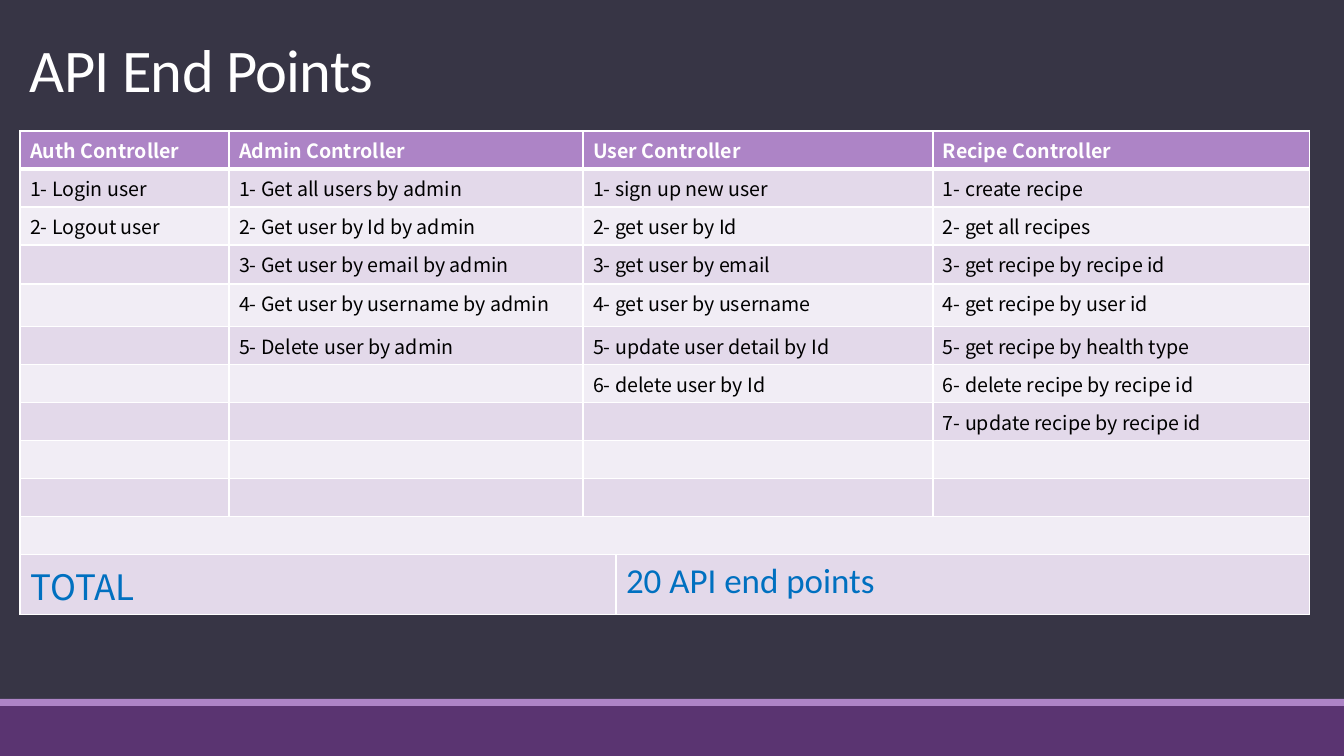
from dataclasses import dataclass
from itertools import zip_longest

from lxml.etree import SubElement
from pptx import Presentation
from pptx.dml.color import RGBColor
from pptx.enum.shapes import MSO_SHAPE as Shape
from pptx.enum.text import MSO_ANCHOR as Anchor
from pptx.oxml.ns import qn
from pptx.util import Emu, Pt

EMU_PER_PX = 914400 / 100.8
PAGE_WIDTH, PAGE_HEIGHT = 1344, 756


@dataclass(frozen=True)
class Theme:
    background: str = "373545"
    footer: str = "5A3471"
    accent: str = "AD84C6"
    bands: tuple = ("F1EDF5", "E3D9EA")
    light: str = "FFFFFF"
    dark: str = "000000"
    total: str = "0070C0"
    heading_font: str = "Calibri"
    body_font: str = "Noto Sans CJK SC"
    title_size: float = 43.2
    body_size: int = 14
    total_size: int = 25


CONTROLLERS = {
    "Auth Controller": ["Login user", "Logout user"],
    "Admin Controller": [
        "Get all users by admin",
        "Get user by Id by admin",
        "Get user by email by admin",
        "Get user by username by admin",
        "Delete user by admin",
    ],
    "User Controller": [
        "sign up new user",
        "get user by Id",
        "get user by email",
        "get user by username",
        "update user detail by Id",
        "delete user by Id",
    ],
    "Recipe Controller": [
        "create recipe",
        "get all recipes",
        "get recipe by recipe id",
        "get recipe by user id",
        "get recipe by health type",
        "delete recipe by recipe id",
        "update recipe by recipe id",
    ],
}
COLUMN_WIDTHS = [209, 354, 33, 317, 377]
CONTROLLER_COLUMNS = [0, 1, 2, 4]
ROW_HEIGHTS = [38, 38, 38, 39, 43] + [38] * 6 + [60]
SPACER_ROW, TOTAL_ROW = 10, 11


def px(length):
    return Emu(round(length * EMU_PER_PX))


class SlideBuilder:
    def __init__(self, page, theme):
        self.page = page
        self.theme = theme

    def background(self):
        fill = self.page.background.fill
        fill.solid()
        fill.fore_color.rgb = RGBColor.from_string(self.theme.background)

    def bar(self, top, height, color):
        """Draw a plain band across the full slide width."""
        box = self.page.shapes.add_shape(
            Shape.RECTANGLE, 0, px(top), px(PAGE_WIDTH), px(height))
        box.shadow.inherit = False
        box.fill.solid()
        box.fill.fore_color.rgb = RGBColor.from_string(color)
        box.line.fill.background()

    def style(self, span, font, size, color, bold=False):
        span.font.name = font
        span.font.size = Pt(size)
        span.font.bold = bold
        span.font.color.rgb = RGBColor.from_string(color)

    def title(self, text, left, top, width, height):
        box = self.page.shapes.add_textbox(px(left), px(top), px(width), px(height))
        frame = box.text_frame
        frame.word_wrap = True
        frame.vertical_anchor = Anchor.BOTTOM
        frame.text = text
        para = frame.paragraphs[0]
        para.line_spacing = 0.85
        span = para.runs[0]
        self.style(span, self.theme.heading_font, self.theme.title_size, self.theme.light)
        span._r.get_or_add_rPr().set("spc", "-50")

    def table(self, left, top, widths, heights):
        """Add a grid whose body cells are banded and bordered."""
        frame = self.page.shapes.add_table(
            len(heights), len(widths), px(left), px(top), px(sum(widths)), px(sum(heights)))
        table = frame.table
        for column, width in zip(table.columns, widths):
            column.width = px(width)
        for index, (row, height) in enumerate(zip(table.rows, heights)):
            row.height = px(height)
            color = self.theme.bands[index % 2] if index else self.theme.accent
            for cell in row.cells:
                self.borders(cell, top=3 if index == 1 else 1, bottom=1 if index else 3)
                cell.fill.solid()
                cell.fill.fore_color.rgb = RGBColor.from_string(color)
                self.empty_size(cell)
        return table

    def borders(self, cell, top, bottom):
        properties = cell._tc.get_or_add_tcPr()
        for side, width in (("L", 1), ("R", 1), ("T", top), ("B", bottom)):
            line = SubElement(properties, qn(f"a:ln{side}"), w=str(Pt(width)))
            fill = SubElement(line, qn("a:solidFill"))
            SubElement(fill, qn("a:srgbClr"), val=self.theme.light)

    def empty_size(self, cell):
        """Give a cell without text the body size, so its row stays low."""
        para = cell.text_frame.paragraphs[0]
        ending = SubElement(para._p, qn("a:endParaRPr"), sz=str(self.theme.body_size * 100))
        SubElement(ending, qn("a:latin"), typeface=self.theme.body_font)

    def cell_text(self, cell, text, **look):
        cell.text_frame.text = text
        options = dict(font=self.theme.body_font, size=self.theme.body_size,
                       color=self.theme.dark)
        self.style(cell.text_frame.paragraphs[0].runs[0], **{**options, **look})


def fill_endpoints(builder, table):
    theme = builder.theme
    for row in range(SPACER_ROW):
        table.cell(row, 2).merge(table.cell(row, 3))
    for column, name in zip(CONTROLLER_COLUMNS, CONTROLLERS):
        builder.cell_text(table.cell(0, column), name, color=theme.light, bold=True)
    for number, actions in enumerate(zip_longest(*CONTROLLERS.values()), start=1):
        for column, action in zip(CONTROLLER_COLUMNS, actions):
            if action:
                builder.cell_text(table.cell(number, column), f"{number}- {action}")


def fill_total(builder, table):
    theme = builder.theme
    table.cell(SPACER_ROW, 0).merge(table.cell(SPACER_ROW, 4))
    label, count = table.cell(TOTAL_ROW, 0), table.cell(TOTAL_ROW, 3)
    label.merge(table.cell(TOTAL_ROW, 2))
    count.merge(table.cell(TOTAL_ROW, 4))
    look = dict(size=theme.total_size, color=theme.total)
    builder.cell_text(label, "TOTAL", **look)
    builder.cell_text(count, "20 API end points", font=theme.heading_font, **look)


def main():
    deck = Presentation()
    deck.slide_width, deck.slide_height = px(PAGE_WIDTH), px(PAGE_HEIGHT)
    theme = Theme()
    builder = SlideBuilder(deck.slides.add_slide(deck.slide_layouts[6]), theme)
    builder.background()
    builder.bar(706, 50, theme.footer)
    builder.bar(699, 7, theme.accent)
    builder.title("API End Points", 20, 31, 1289, 79)
    table = builder.table(20, 131, COLUMN_WIDTHS, ROW_HEIGHTS)
    fill_endpoints(builder, table)
    fill_total(builder, table)
    deck.save("out.pptx")


if __name__ == "__main__":
    main()
